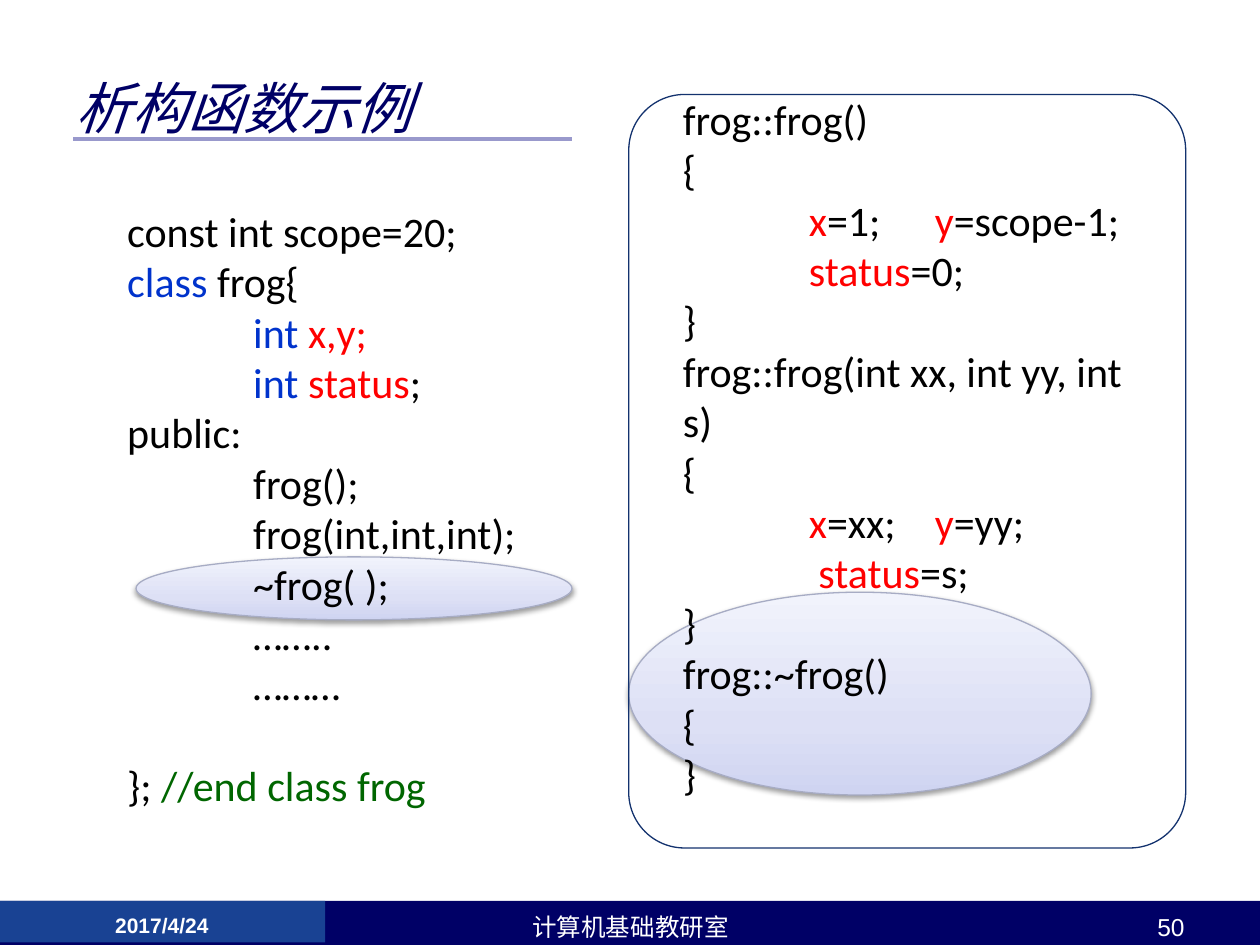
from dataclasses import dataclass

import pptx
import pptx.dml.color
import pptx.enum.shapes
import pptx.enum.text
import pptx.oxml
import pptx.util
from lxml import etree

Pt = pptx.util.Pt
Shapes = pptx.enum.shapes.MSO_SHAPE
Align = pptx.enum.text.PP_ALIGN
Anchor = pptx.enum.text.MSO_ANCHOR
A_NS = "http://schemas.openxmlformats.org/drawingml/2006/main"


@dataclass(frozen=True)
class Theme:
    title_font: str = "Montserrat"
    code_font: str = "Calibri"
    footer_font: str = "Arial"
    title_size: float = 32
    code_size: float = 24
    code_pitch: float = 28.8
    date_size: float = 12
    footer_size: float = 14
    navy: str = "000066"
    blue: str = "194293"
    rule: str = "9999CC"
    frame: str = "13326E"
    oval_line: str = "A7ACC4"
    oval_stops: tuple = ((0, "CFD4F1"), (35, "DDE0F5"), (100, "F1F3FC"))
    white: str = "FFFFFF"
    black: str = "000000"
    keyword: str = "0033CC"
    member: str = "FF0000"
    comment: str = "006600"


THEME = Theme()
TITLE = "析构函数示例"
KEY, MEMBER, NOTE = THEME.keyword, THEME.member, THEME.comment

# A code line is a list of spans: plain text, or (text, colour).
CLASS_CODE = [
    ["const int scope=20;"],
    [("class ", KEY), "frog{"],
    ["\t", ("int ", KEY), ("x,y;", MEMBER)],
    ["\t", ("int", KEY), (" status", MEMBER), ";"],
    ["public:"],
    ["\tfrog();"],
    ["\tfrog(int,int,int);"],
    ["\t~frog( );"],
    ["\t…….."],
    ["\t………"],
    ["}; ", ("//end class frog", NOTE)],
]
MEMBER_CODE = [
    ["frog::frog()"],
    ["{"],
    ["\t", ("x", MEMBER), "=1; \t", ("y", MEMBER), "=scope-1;"],
    [("\tstatus", MEMBER), "=0;"],
    ["}"],
    ["frog::frog(int xx, int yy, int s)"],
    ["{"],
    ["\t", ("x", MEMBER), "=xx; \t", ("y", MEMBER), "=yy;"],
    [("\t status", MEMBER), "=s;"],
    ["}"],
    ["frog::~frog()"],
    ["{"],
    ["}"],
]

# Text, left, width, size, bold, alignment
FOOTERS = [
    ("2017/4/24", 8.64, 167.76, THEME.date_size, True, Align.CENTER),
    ("计算机基础教研室", 246.24, 228.24, THEME.footer_size, False, Align.CENTER),
    ("50", 516.24, 167.76, THEME.footer_size, False, Align.RIGHT),
]
FOOTER_TOP, FOOTER_TEXT_TOP, FOOTER_TEXT_HEIGHT = 514.8, 517.68, 17.28
BANDS = [(720, 25.2, THEME.navy), (185.76, 23.76, THEME.blue)]
OVALS = [(359.28, 338.4, 264.24, 115.92), (77.76, 318.24, 249.12, 36)]
CLASS_BOX = (51.12, 113.76, 275.76, 356.4)
MEMBER_BOX = (359.28, 54, 318.24, 430.56)
CODE_INDENT = 21.6
TAB_STOPS = (72, 144)


def rgb(value):
    return pptx.dml.color.RGBColor.from_string(value)


def add_box(page, kind, place, line=None, fill=None):
    box = page.shapes.add_shape(kind, *map(Pt, place))
    box.shadow.inherit = False
    if fill:
        box.fill.solid()
        box.fill.fore_color.rgb = rgb(fill)
    else:
        box.fill.background()
    if line:
        box.line.color.rgb = rgb(line)
        box.line.width = Pt(0.75)
    else:
        box.line.fill.background()
    return box


def style(para, font, size, colour, bold=False, italic=False):
    para.font.name = font
    para.font.size = Pt(size)
    para.font.color.rgb = rgb(colour)
    para.font.bold = bold
    para.font.italic = italic


def add_oval(page, place):
    """Add a highlight with a vertical gradient and a soft shadow below it."""
    oval = add_box(page, Shapes.OVAL, place, line=THEME.oval_line)
    stops = "".join(
        f'<a:gs pos="{pos * 1000}"><a:srgbClr val="{colour}"/></a:gs>'
        for pos, colour in THEME.oval_stops)
    gradient = pptx.oxml.parse_xml(
        f'<a:gradFill xmlns:a="{A_NS}" rotWithShape="1"><a:gsLst>{stops}</a:gsLst>'
        '<a:lin ang="16200000" scaled="0"/></a:gradFill>')
    shadow = pptx.oxml.parse_xml(
        f'<a:outerShdw xmlns:a="{A_NS}" blurRad="{Pt(3.1)}" dist="{Pt(1.6)}" '
        'dir="5400000" rotWithShape="0"><a:srgbClr val="000000">'
        '<a:alpha val="38000"/></a:srgbClr></a:outerShdw>')
    properties = oval.element.spPr
    properties.replace(properties.find(f"{{{A_NS}}}noFill"), gradient)
    properties.find(f"{{{A_NS}}}effectLst").append(shadow)


def write_code(frame, lines):
    frame.word_wrap = True
    frame.margin_left = Pt(CODE_INDENT)
    for number, spans in enumerate(lines):
        para = frame.add_paragraph() if number else frame.paragraphs[0]
        para.alignment = Align.LEFT
        para.line_spacing = Pt(THEME.code_pitch)
        tabs = etree.SubElement(para._p.get_or_add_pPr(), f"{{{A_NS}}}tabLst")
        for stop in TAB_STOPS:
            etree.SubElement(tabs, f"{{{A_NS}}}tab", pos=str(Pt(stop)), algn="l")
        style(para, THEME.code_font, THEME.code_size, THEME.black)
        for item in spans:
            text, colour = (item, None) if isinstance(item, str) else item
            span = para.add_run()
            span.text = text
            if colour:
                span.font.color.rgb = rgb(colour)


def add_title(page):
    title = page.shapes.title
    title.left, title.top, title.width, title.height = map(Pt, (36, 28.08, 648, 66.24))
    title.text_frame.text = TITLE
    title.text_frame.vertical_anchor = Anchor.MIDDLE
    para = title.text_frame.paragraphs[0]
    para.alignment = Align.LEFT
    style(para, THEME.title_font, THEME.title_size, THEME.navy, italic=True)
    rule = page.shapes.add_connector(
        pptx.enum.shapes.MSO_CONNECTOR.STRAIGHT, *map(Pt, (41.76, 79.2, 326.88, 79.2)))
    rule.line.color.rgb = rgb(THEME.rule)
    rule.line.width = Pt(2.25)
    etree.SubElement(rule.element.spPr, f"{{{A_NS}}}effectLst")


def add_footer(page):
    for width, height, colour in BANDS:
        add_box(page, Shapes.RECTANGLE, (0, FOOTER_TOP, width, height), fill=colour)
    for text, left, width, size, bold, alignment in FOOTERS:
        box = page.shapes.add_textbox(
            *map(Pt, (left, FOOTER_TEXT_TOP, width, FOOTER_TEXT_HEIGHT)))
        box.text_frame.word_wrap = True
        para = box.text_frame.paragraphs[0]
        para.text = text
        para.alignment = alignment
        style(para, THEME.footer_font, size, THEME.white, bold=bold)


def main():
    deck = pptx.Presentation()
    deck.slide_width, deck.slide_height = Pt(720), Pt(540)
    page = deck.slides.add_slide(deck.slide_layouts[5])
    add_title(page)
    add_footer(page)
    for place in OVALS:
        add_oval(page, place)

    class_frame = page.shapes.add_textbox(*map(Pt, CLASS_BOX)).text_frame
    write_code(class_frame, CLASS_CODE)
    class_frame.paragraphs[-1].space_before = Pt(THEME.code_pitch)

    member_box = add_box(page, Shapes.ROUNDED_RECTANGLE, MEMBER_BOX, line=THEME.frame)
    member_box.adjustments[0] = 0.1
    member_frame = member_box.text_frame
    member_frame.vertical_anchor = Anchor.MIDDLE
    member_frame.margin_top = 0
    member_frame.margin_bottom = Pt(THEME.code_pitch)
    write_code(member_frame, MEMBER_CODE)

    deck.save("out.pptx")


if __name__ == "__main__":
    main()
